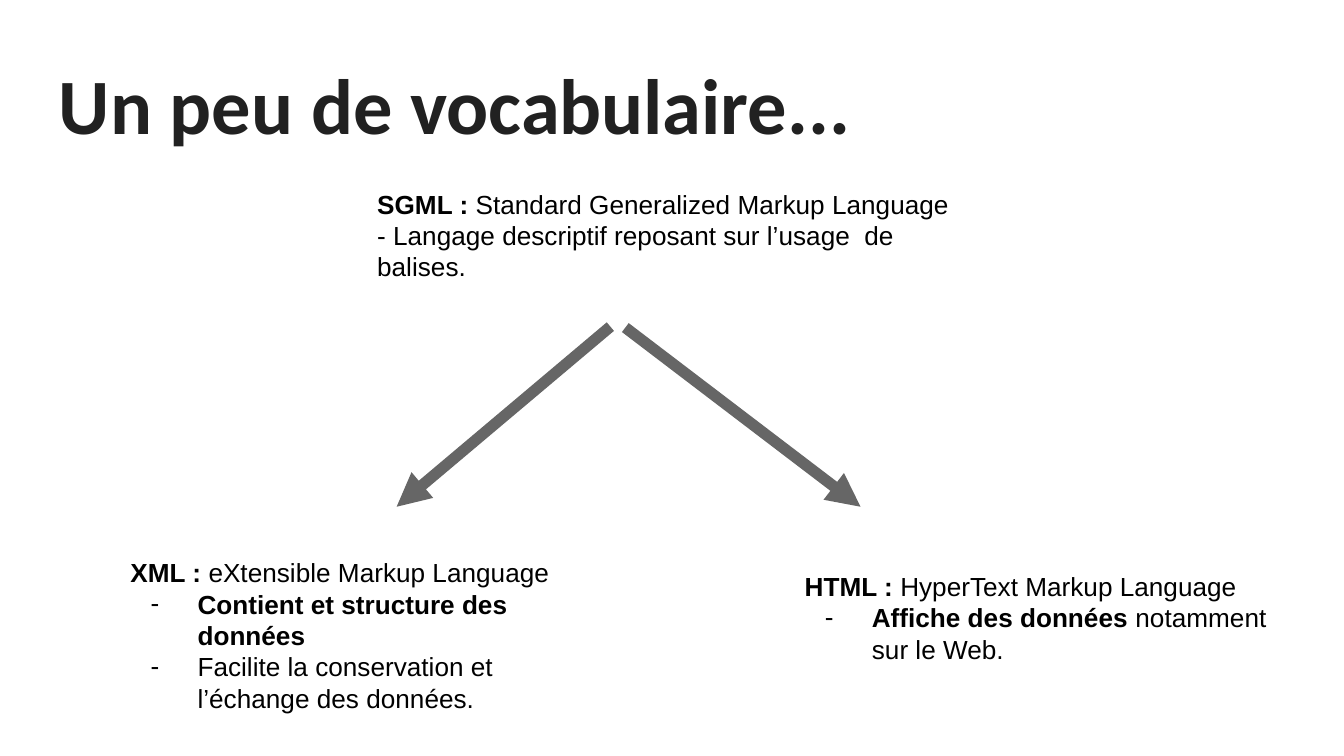
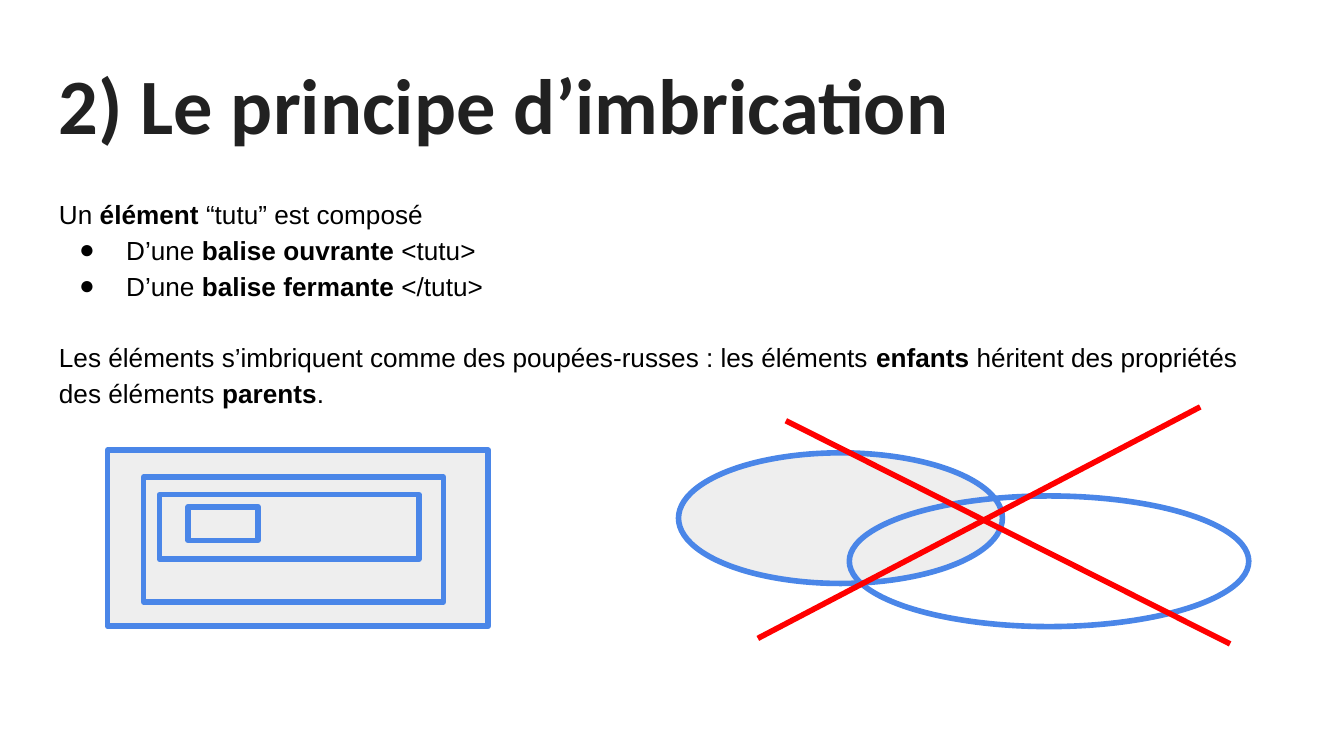
from dataclasses import dataclass

from pptx import Presentation
from pptx.dml.color import RGBColor
from pptx.enum.shapes import MSO_CONNECTOR, MSO_SHAPE
from pptx.enum.text import MSO_ANCHOR
from pptx.oxml.ns import qn
from pptx.util import Pt
from lxml.etree import SubElement


@dataclass(frozen=True)
class Theme:
    title_font: str = "Calibri"
    body_font: str = "Arial"
    title_size: float = 42
    body_size: float = 14
    title_color: str = "212121"
    text_color: str = "000000"
    arrow_color: str = "666666"
    outline_color: str = "4A86E8"
    fill_color: str = "EEEEEE"
    cross_color: str = "FF0000"
    arrow_width: float = 6
    outline_width: float = 3
    inset: float = 7.2
    indent: float = 36
    hanging: float = 25.2
    left: float = 24.5
    content_width: float = 671


THEME = Theme()


def rgb(value):
    return RGBColor.from_string(value)


def add_run(p, text, font, size, color, bold):
    r = p.add_run()
    r.text = text
    r.font.name = font
    r.font.size = Pt(size)
    r.font.color.rgb = rgb(color)
    r.font.bold = bold


def add_box(s, left, top, width, height):
    tf = s.shapes.add_textbox(Pt(left), Pt(top), Pt(width), Pt(height)).text_frame
    tf.word_wrap = True
    tf.vertical_anchor = MSO_ANCHOR.TOP
    tf.margin_left = tf.margin_right = Pt(THEME.inset)
    tf.margin_top = tf.margin_bottom = Pt(THEME.inset)
    return tf


def add_title(s, text):
    tf = add_box(s, THEME.left, 23, THEME.content_width, 63.4)
    add_run(tf.paragraphs[0], text, THEME.title_font, THEME.title_size,
            THEME.title_color, True)


def set_bullet(p, char):
    pPr = p._p.get_or_add_pPr()
    pPr.set("marL", str(Pt(THEME.indent)))
    pPr.set("indent", str(-Pt(THEME.hanging)))
    color = SubElement(pPr, qn("a:buClr"))
    SubElement(color, qn("a:srgbClr"), val=THEME.text_color)
    SubElement(pPr, qn("a:buFont"), typeface=THEME.body_font)
    SubElement(pPr, qn("a:buChar"), char=char)


def add_text(s, left, top, width, height, lines, spacing=1.0):
    """Each line is (bullet, gap before, text); asterisks enclose bold words."""
    tf = add_box(s, left, top, width, height)
    for i, (bullet, gap, text) in enumerate(lines):
        p = tf.add_paragraph() if i else tf.paragraphs[0]
        p.line_spacing = spacing
        p.space_before = Pt(gap)
        if bullet:
            set_bullet(p, bullet)
        for j, part in enumerate(text.split("*")):
            if part:
                add_run(p, part, THEME.body_font, THEME.body_size,
                        THEME.text_color, j % 2 == 1)


def add_line(s, start, end, color, width, arrow=False):
    sp = s.shapes.add_connector(MSO_CONNECTOR.STRAIGHT, *map(Pt, start + end))
    sp.line.color.rgb = rgb(color)
    sp.line.width = Pt(width)
    if arrow:
        SubElement(sp.line._get_or_add_ln(), qn("a:tailEnd"), type="triangle")
    SubElement(sp._element.spPr, qn("a:effectLst"))


def add_outlined(s, kind, left, top, width, height, filled=True):
    sp = s.shapes.add_shape(kind, Pt(left), Pt(top), Pt(width), Pt(height))
    sp.shadow.inherit = False
    if filled:
        sp.fill.solid()
        sp.fill.fore_color.rgb = rgb(THEME.fill_color)
    else:
        sp.fill.background()
    sp.line.color.rgb = rgb(THEME.outline_color)
    sp.line.width = Pt(THEME.outline_width)
    SubElement(sp.line._get_or_add_ln(), qn("a:round"))


def build_vocabulary(s):
    add_title(s, "Un peu de vocabulaire...")
    for start, end in (((327, 175), (212.5, 271.5)), ((335, 175.5), (461, 271.5))):
        add_line(s, start, end, THEME.arrow_color, THEME.arrow_width, arrow=True)
    add_text(s, 62.8, 291, 271.5, 96.5, [
        (None, 0, "*XML : *eXtensible Markup Language"),
        ("-", 0, "*Contient et structure des données*"),
        ("-", 0, "Facilite la conservation et l’échange des données."),
    ])
    add_text(s, 424, 298.3, 263.5, 72, [
        (None, 0, "*HTML : *HyperText Markup Language"),
        ("-", 0, "*Affiche des données* notamment sur le Web."),
    ])
    add_text(s, 195, 93.5, 332, 63.4, [
        (None, 0, "*SGML : *Standard Generalized Markup Language"),
        (None, 0, "- Langage descriptif reposant sur l’usage  de balises."),
    ])


def build_nesting(s):
    add_title(s, "2) Le principe d’imbrication")
    add_text(s, THEME.left, 96.5, THEME.content_width, 263, [
        (None, 0, "Un *élément *“tutu” est composé"),
        ("●", 0, "D’une *balise ouvrante* <tutu>"),
        ("●", 0, "D’une *balise fermante* </tutu>"),
        (None, 19, "Les éléments s’imbriquent comme des poupées-russes : "
                   "les éléments *enfants *héritent des propriétés "
                   "des éléments *parents*."),
    ], spacing=1.15)
    nested = ((57.6, 241.2, 204, 94.3), (77, 255.6, 160.6, 67),
              (85.5, 265, 139, 34.6), (100.8, 271.5, 37.5, 18))
    for bounds in nested:
        add_outlined(s, MSO_SHAPE.RECTANGLE, *bounds)
    add_outlined(s, MSO_SHAPE.OVAL, 363.5, 242.6, 173.5, 70)
    add_outlined(s, MSO_SHAPE.OVAL, 455, 265.7, 214, 70, filled=False)
    for start, end in (((421, 225.4), (659, 345)), ((643, 218), (406, 342))):
        add_line(s, start, end, THEME.cross_color, THEME.outline_width)


def main():
    prs = Presentation()
    prs.slide_width, prs.slide_height = Pt(720), Pt(405)
    for build in (build_vocabulary, build_nesting):
        build(prs.slides.add_slide(prs.slide_layouts[6]))
    prs.save("out.pptx")


if __name__ == "__main__":
    main()
